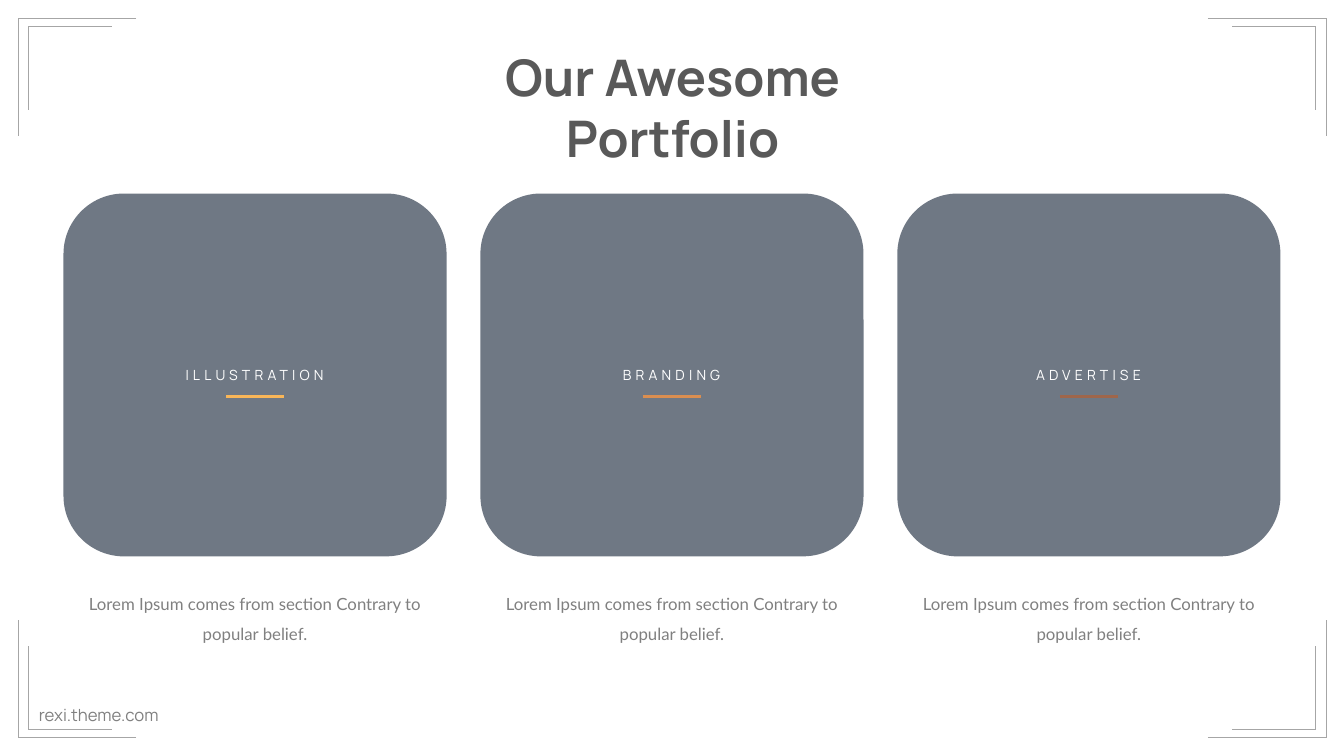
from dataclasses import dataclass
from itertools import product

from lxml import etree
from pptx import Presentation
from pptx import util as u
from pptx.dml.color import RGBColor
from pptx.enum import shapes, text
from pptx.oxml import ns


@dataclass(frozen=True)
class Theme:
    head: str = "Manrope"
    body: str = "Lato"
    dark: str = "595959"
    gray: str = "808080"
    frame: str = "A6A6A6"
    card: str = "333F50"
    white: str = "FFFFFF"
    big: int = 36
    mid: int = 12
    small: int = 10


THEME = Theme()
WIDE, HIGH = 13.33, 7.5
CARDS = [
    ("ILLUSTRATION", "F9B658"),
    ("BRANDING", "DA8E50"),
    ("ADVERTISE", "9F664B"),
]
BLURB = "Lorem Ipsum comes from section Contrary to popular belief."


def place(*box):
    return [u.Inches(n) for n in box]


def draw_line(slide, start, end, color, width):
    line = slide.shapes.add_connector(
        shapes.MSO_CONNECTOR.STRAIGHT, *place(*start, *end)
    )
    line.line.color.rgb = RGBColor.from_string(color)
    line.line.width = u.Pt(width)
    etree.SubElement(line._element.spPr, ns.qn("a:effectLst"))


def write(shape, words, face, size, color, bold=False, wrap=True):
    frame = shape.text_frame
    frame.text = words
    frame.word_wrap = wrap
    frame.auto_size = text.MSO_AUTO_SIZE.NONE
    frame.vertical_anchor = text.MSO_ANCHOR.TOP
    para = frame.paragraphs[0]
    para.alignment = text.PP_ALIGN.CENTER
    para.font.name = face
    para.font.size = u.Pt(size)
    para.font.bold = bold
    para.font.color.rgb = RGBColor.from_string(color)
    return para


def add_frame(slide, wide, high):
    for right, low in product((False, True), repeat=2):
        for left, top, size in ((0.18, 0.18, 1.17), (0.28, 0.26, 0.83)):
            x = wide - left if right else left
            y = high - top if low else top
            across = x - size if right else x + size
            down = y - size if low else y + size
            draw_line(slide, (x, y), (x, down), THEME.frame, 0.5)
            draw_line(slide, (across, y), (x, y), THEME.frame, 0.5)


def add_title(slide, box):
    title = slide.shapes.title
    title.left, title.top, title.width, title.height = place(*box)
    write(title, "Our Awesome Portfolio", THEME.head, THEME.big, THEME.dark, bold=True)


def add_foot(slide, box):
    foot = slide.shapes.add_textbox(*place(*box))
    write(foot, "rexi.theme.com", THEME.head, THEME.mid, THEME.gray, wrap=False)


def add_card(slide, box, name, color):
    left, top, wide, high = box
    mid = left + wide / 2
    card = slide.shapes.add_shape(
        shapes.MSO_SHAPE.ROUNDED_RECTANGLE, *place(*box)
    )
    card.shadow.inherit = False
    card.line.fill.background()
    card.fill.solid()
    card.fill.fore_color.rgb = RGBColor.from_string(THEME.card)
    tint = card._element.spPr.find(".//" + ns.qn("a:srgbClr"))
    etree.SubElement(tint, ns.qn("a:alpha"), val="70000")

    label = slide.shapes.add_textbox(*place(mid - 1.16, top + 1.67, 2.31, 0.27))
    para = write(label, name, THEME.head, THEME.small, THEME.white)
    para.runs[0]._r.get_or_add_rPr().set("spc", "300")

    rule = top + 2.01
    draw_line(slide, (mid - 0.29, rule), (mid + 0.29, rule), color, 2)

    note = slide.shapes.add_textbox(
        *place(left + 0.12, top + high + 0.22, wide - 0.24, 0.71)
    )
    para = write(note, BLURB, THEME.body, THEME.mid, THEME.gray)
    para.line_spacing = 1.5


def add_cards(slide, box):
    left, top, wide, high = box
    size = 3.8
    step = (wide - size) / (len(CARDS) - 1)
    for spot, (name, color) in enumerate(CARDS):
        add_card(slide, (left + spot * step, top, size, high), name, color)


def main():
    deck = Presentation()
    deck.slide_width, deck.slide_height = place(WIDE, HIGH)
    slide = deck.slides.add_slide(deck.slide_layouts[5])
    add_frame(slide, WIDE, HIGH)
    add_foot(slide, (0.28, 6.94, 1.4, 0.3))
    add_cards(slide, (0.63, 1.92, WIDE - 1.26, 3.6))
    add_title(slide, (3.84, 0.41, 5.66, 1.3))
    deck.save("out.pptx")


if __name__ == "__main__":
    main()
